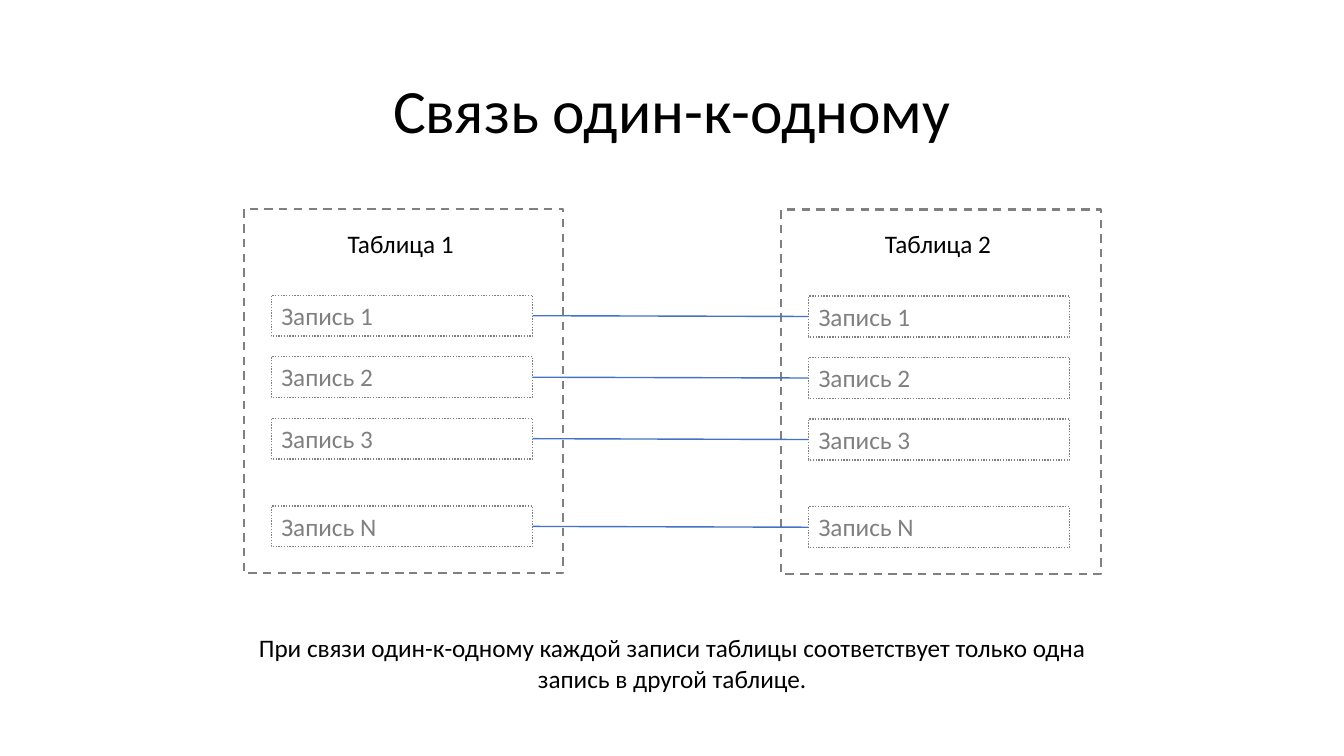
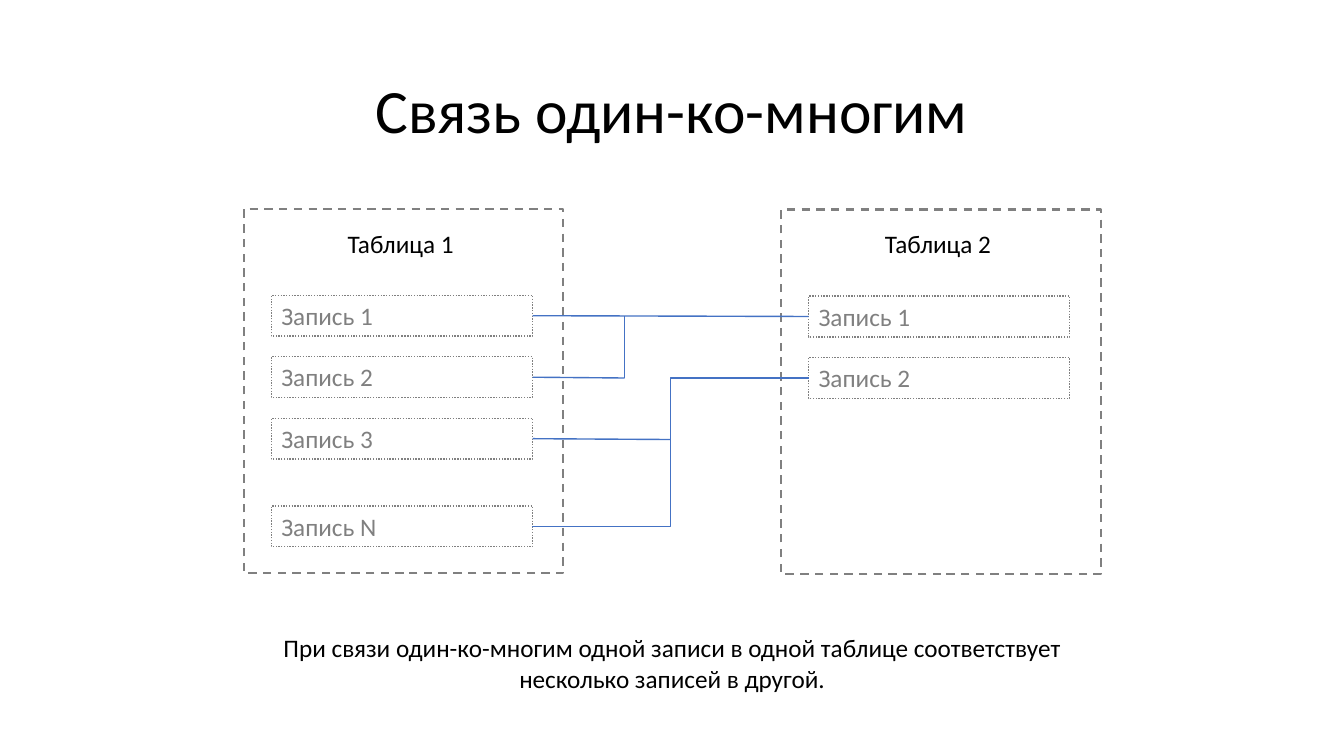
from lxml import etree
from pptx import Presentation
from pptx.dml.color import RGBColor
from pptx.enum.dml import MSO_LINE
from pptx.enum.shapes import MSO_CONNECTOR, MSO_SHAPE
from pptx.enum.text import MSO_ANCHOR, PP_ALIGN
from pptx.oxml.ns import qn
from pptx.util import Cm, Pt

STRAIGHT, ELBOW = MSO_CONNECTOR.STRAIGHT, MSO_CONNECTOR.ELBOW

# links: left row, right row, connector type
# branches: left row, share of the gap it crosses, row its riser climbs to
SLIDES = [
    {
        "title": "Связь один-к-одному",
        "caption": "При связи один-к-одному каждой записи таблицы "
                   "соответствует только одна запись в другой таблице.",
        "records": ("123N", "123N"),
        "links": [(row, row, STRAIGHT) for row in range(4)],
        "branches": [],
    },
    {
        "title": "Связь один-ко-многим",
        "caption": "При связи один-ко-многим одной записи в одной таблице "
                   "соответствует несколько записей в другой.",
        "records": ("123N", "12"),
        "links": [(0, 0, STRAIGHT), (3, 1, ELBOW)],
        "branches": [(1, 1 / 3, 0), (2, 1 / 2, None)],
    },
]

COLORS = {"text": "000000", "muted": "808080", "link": "4472C4"}
FONT = "Calibri"

# Centimetres
TABLES = [("Таблица 1", 6.15, 5.26), ("Таблица 2", 19.69, 5.28)]
FRAME_W, FRAME_H = 8.05, 9.19
RECORD_INSET, RECORD_W, RECORD_H = 0.69, 6.58, 1.03
FIRST_ROW, ROW_PITCH, LAST_ROW = 2.18, 1.55, 7.49
ROW_OFFSETS = [FIRST_ROW + i * ROW_PITCH for i in range(3)] + [LAST_ROW]
GAP_LEFT = TABLES[0][1] + RECORD_INSET + RECORD_W
GAP_RIGHT = TABLES[1][1] + RECORD_INSET


def color(name):
    """Return a palette colour."""
    return RGBColor.from_string(COLORS[name])


def write(shape, text, tint="text", size=18, align=PP_ALIGN.LEFT,
          anchor=MSO_ANCHOR.TOP, wrap=True):
    """Put one formatted paragraph into a shape."""
    frame = shape.text_frame
    frame.text, frame.word_wrap, frame.vertical_anchor = text, wrap, anchor
    paragraph = frame.paragraphs[0]
    paragraph.alignment = align
    font = paragraph.runs[0].font
    font.name, font.size, font.color.rgb = FONT, Pt(size), color(tint)
    return paragraph


def add_box(slide, x, y, w, h, width, dash):
    """Add an unfilled grey rectangle."""
    box = slide.shapes.add_shape(MSO_SHAPE.RECTANGLE, Cm(x), Cm(y), Cm(w), Cm(h))
    box.shadow.inherit = False
    box.fill.background()
    box.line.color.rgb = color("muted")
    box.line.width, box.line.dash_style = Pt(width), dash
    return box


def add_table_diagram(slide, name, x, y, records):
    """Draw a framed table and return its record boxes."""
    boxes = []
    for record, offset in zip(records, ROW_OFFSETS):
        box = add_box(slide, x + RECORD_INSET, y + offset, RECORD_W, RECORD_H,
                      1, MSO_LINE.ROUND_DOT)
        write(box, f"Запись {record}", "muted")
        boxes.append(box)
    add_box(slide, x, y, FRAME_W, FRAME_H, 1.5, MSO_LINE.DASH)
    label = slide.shapes.add_textbox(Cm(x + 2.36), Cm(y + 0.36), Cm(3.23), Cm(1.03))
    write(label, name, wrap=False)
    return boxes


def add_line(slide, start, end, kind=STRAIGHT):
    """Add a blue connector between two points in centimetres."""
    line = slide.shapes.add_connector(kind, *map(Cm, start + end))
    line.line.color.rgb = color("link")
    line.line.width = Pt(1)
    etree.SubElement(line._element.spPr, qn("a:effectLst"))
    return line


def row_middle(table, row):
    """Return the vertical centre of a record."""
    return TABLES[table][2] + ROW_OFFSETS[row] + RECORD_H / 2


def build_slide(prs, content):
    """Build one relationship slide."""
    slide = prs.slides.add_slide(prs.slide_layouts[5])
    title = slide.shapes.title
    title.left, title.top, title.width, title.height = map(Cm, (2.33, 1.01, 29.21, 3.68))
    heading = write(title, content["title"], size=44, align=PP_ALIGN.CENTER,
                    anchor=MSO_ANCHOR.MIDDLE)
    heading.line_spacing = 0.9

    left, right = [add_table_diagram(slide, *table, records)
                   for table, records in zip(TABLES, content["records"])]
    caption = slide.shapes.add_textbox(Cm(6.15), Cm(15.82), Cm(21.58), Cm(1.8))
    write(caption, content["caption"], align=PP_ALIGN.CENTER)

    for source, target, kind in content["links"]:
        link = add_line(slide, (GAP_LEFT, row_middle(0, source)),
                        (GAP_RIGHT, row_middle(1, target)), kind)
        link.begin_connect(left[source], 3)
        link.end_connect(right[target], 1)
    for row, share, riser_row in content["branches"]:
        joint = (GAP_LEFT + share * (GAP_RIGHT - GAP_LEFT), row_middle(1, row))
        branch = add_line(slide, (GAP_LEFT, row_middle(0, row)), joint)
        branch.begin_connect(left[row], 3)
        if riser_row is not None:
            add_line(slide, joint, (joint[0], row_middle(0, riser_row)))


prs = Presentation()
prs.slide_width, prs.slide_height = Cm(33.87), Cm(19.05)
for content in SLIDES:
    build_slide(prs, content)
prs.save("out.pptx")
